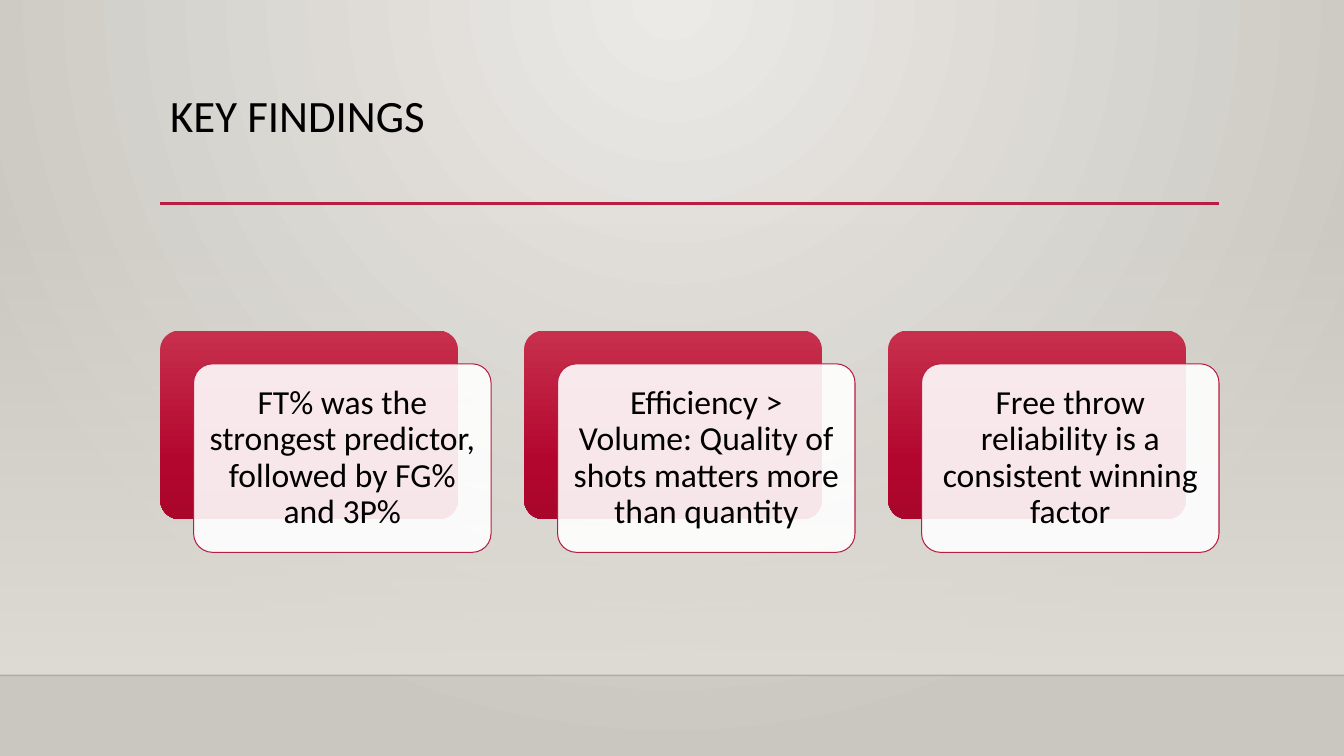
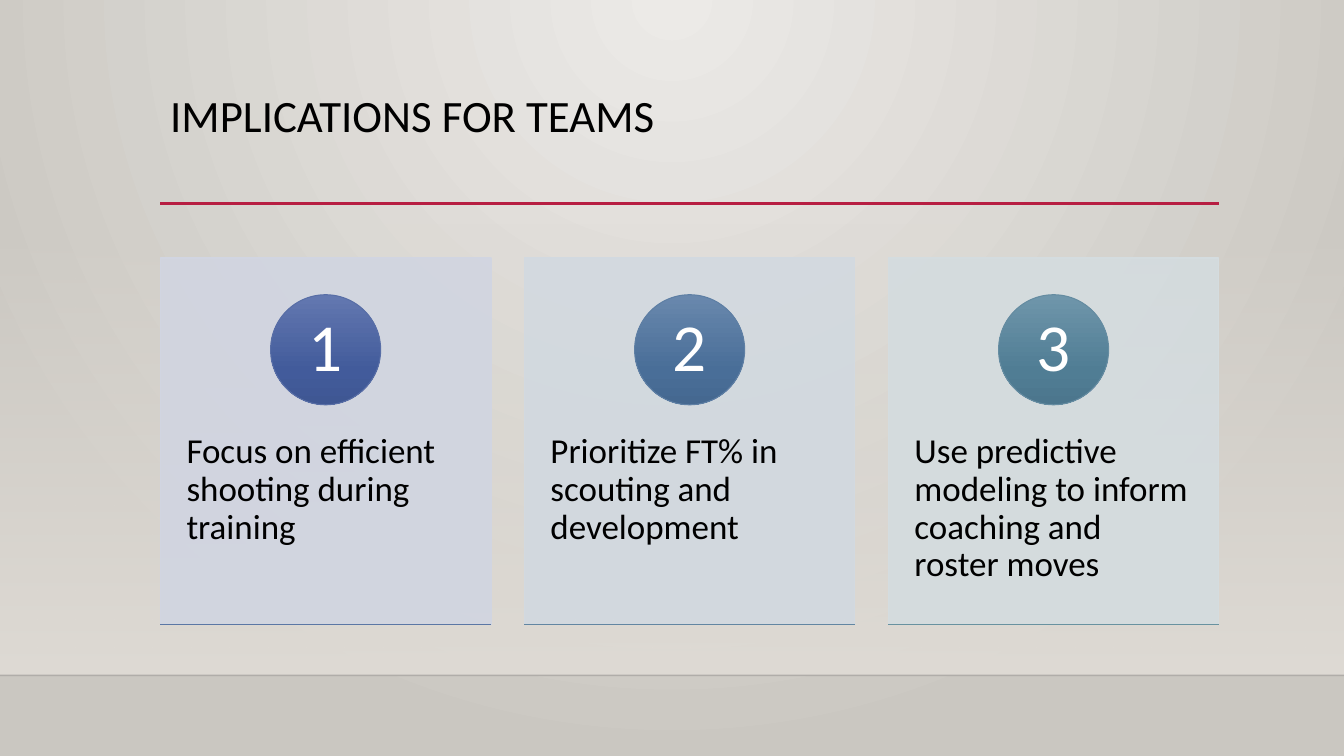
from lxml.etree import SubElement
from pptx import Presentation
from pptx.dml.color import RGBColor
from pptx.enum.shapes import MSO_CONNECTOR, MSO_SHAPE
from pptx.enum.text import MSO_ANCHOR, PP_ALIGN
from pptx.oxml.ns import qn
from pptx.util import Inches, Pt

WIDTH, HEIGHT = 13.33, 7.5
FONT = "Calibri"
COLORS = {
    "text": "000000",
    "white": "FFFFFF",
    "accent": "B71E42",
    "glow": "ECEAE7",
    "edge": "CAC7C1",
    "wall": "DFDBD5",
    "floor_line": "000001",
}
RED_GRADIENT = [(0, "C7304C"), (69, "B3062F"), (100, "AA062C")]

LEFT, CONTENT_WIDTH = 1.59, 10.5
COLUMNS, GAP = 3, 0.33
COLUMN_WIDTH = (CONTENT_WIDTH - (COLUMNS - 1) * GAP) / COLUMNS
FLOOR_TOP = 6.7

FINDINGS = [
    "FT% was the strongest predictor, followed by FG% and 3P%",
    "Efficiency > Volume: Quality of shots matters more than quantity",
    "Free throw reliability is a consistent winning factor",
]
# text, card colour, circle gradient, circle outline, base line
IMPLICATIONS = [
    ("Focus on efficient shooting during training", "D1D5E1",
     [(0, "6378B0"), (69, "425B9B"), (100, "3F5793")], "586EA6", "5B77A5"),
    ("Prioritize FT% in scouting and development", "D2D9E0",
     [(0, "6988AD"), (69, "496E98"), (100, "456890")], "5E7FA4", "6286A2"),
    ("Use predictive modeling to inform coaching and roster moves", "D4DCDF",
     [(0, "6F96AB"), (69, "507D94"), (100, "4C768D")], "658CA1", "6892A0"),
]


def rgb(color):
    return RGBColor.from_string(color)


def set_alpha(parent, percent):
    """Make the first colour found inside parent partly transparent."""
    color = next(parent.iter(qn("a:srgbClr")))
    SubElement(color, qn("a:alpha"), val=str(percent * 1000))


def set_gradient(fill, element, stops, focus=None):
    """Fill with (position, colour[, alpha]) stops: downwards, or round a focus."""
    fill.gradient()
    gradient = next(element.iter(qn("a:gradFill")))
    gradient.clear()
    stop_list = SubElement(gradient, qn("a:gsLst"))
    for position, color, *alpha in stops:
        stop = SubElement(stop_list, qn("a:gs"), pos=str(position * 1000))
        SubElement(stop, qn("a:srgbClr"), val=color)
        if alpha:
            set_alpha(stop, alpha[0])
    if focus:
        circle = SubElement(gradient, qn("a:path"), {"path": "circle"})
        SubElement(circle, qn("a:fillToRect"),
                   {side: str(share * 1000) for side, share in focus.items()})
    else:
        SubElement(gradient, qn("a:lin"), ang="5400000", scaled="0")


def add_box(slide, kind, box, fill, line=None, alpha=None):
    """Add a preset shape whose fill is a colour or a list of gradient stops."""
    shape = slide.shapes.add_shape(kind, *map(Inches, box))
    shape.shadow.inherit = False
    if isinstance(fill, list):
        set_gradient(shape.fill, shape.element.spPr, fill)
    else:
        shape.fill.solid()
        shape.fill.fore_color.rgb = rgb(fill)
    if alpha is not None:
        set_alpha(shape.element.spPr, alpha)
    if line:
        shape.line.color.rgb = rgb(line)
        shape.line.width = Pt(0.75)
    else:
        shape.line.fill.background()
    return shape


def add_rule(slide, left, top, width, color, points, alpha=None):
    rule = slide.shapes.add_connector(
        MSO_CONNECTOR.STRAIGHT,
        *map(Inches, (left, top, left + width, top)))
    rule.line.color.rgb = rgb(color)
    rule.line.width = Pt(points)
    properties = rule.element.spPr
    if alpha is not None:
        set_alpha(properties, alpha)
    SubElement(properties, qn("a:effectLst"))


def write(shape, text, size, color=COLORS["text"], align=PP_ALIGN.LEFT,
          anchor=MSO_ANCHOR.TOP, insets=(0.1, 0.05, 0.1, 0.05)):
    """Put one paragraph in a shape; insets are left, top, right, bottom."""
    frame = shape.text_frame
    frame.word_wrap = True
    frame.vertical_anchor = anchor
    (frame.margin_left, frame.margin_top,
     frame.margin_right, frame.margin_bottom) = map(Inches, insets)
    paragraph = frame.paragraphs[0]
    paragraph.text = text
    paragraph.alignment = align
    paragraph.line_spacing = 0.9
    paragraph.font.name = FONT
    paragraph.font.size = Pt(size)
    paragraph.font.color.rgb = rgb(color)


def set_backdrop(master):
    set_gradient(master.background.fill, master.element,
                 [(0, COLORS["glow"]), (100, COLORS["edge"])],
                 focus={"l": 43, "t": 0, "r": 43, "b": 100})


def add_base_slide(presentation, title):
    """Add a slide with the wall, the floor line, the title and its rule."""
    slide = presentation.slides.add_slide(presentation.slide_layouts[6])
    wall_top = 2.21
    add_box(slide, MSO_SHAPE.RECTANGLE,
            (0, wall_top, WIDTH, FLOOR_TOP - wall_top),
            [(0, COLORS["wall"], 0), (100, COLORS["wall"])])
    add_rule(slide, 0, FLOOR_TOP, WIDTH, COLORS["floor_line"], 1, alpha=20)
    add_rule(slide, LEFT, 2.02, CONTENT_WIDTH, COLORS["accent"], 2.5)
    title_box = slide.shapes.add_textbox(
        *map(Inches, (LEFT, 0.88, CONTENT_WIDTH, 1.15)))
    write(title_box, title, 32)
    return slide


def column_boxes(top, height):
    return [(LEFT + index * (COLUMN_WIDTH + GAP), top, COLUMN_WIDTH, height)
            for index in range(COLUMNS)]


def add_finding(slide, box, text):
    """Add a white card that overlaps a red one, offset down and right."""
    left, top, width, height = box
    offset = 0.33
    card_width, card_height = width - offset, height - offset
    back = add_box(slide, MSO_SHAPE.ROUNDED_RECTANGLE,
                   (left, top, card_width, card_height), RED_GRADIENT)
    front = add_box(slide, MSO_SHAPE.ROUNDED_RECTANGLE,
                    (left + offset, top + offset, card_width, card_height),
                    COLORS["white"], COLORS["accent"], alpha=90)
    for card in (back, front):
        card.adjustments[0] = 0.1
    write(front, text, 24, align=PP_ALIGN.CENTER, anchor=MSO_ANCHOR.MIDDLE,
          insets=(0.1,) * 4)


def add_implication(slide, box, number, implication):
    """Add a tinted card with a numbered circle and a line along its base."""
    text, tint, gradient, outline, base = implication
    left, top, width, height = box
    card = add_box(slide, MSO_SHAPE.RECTANGLE, box, tint, tint, alpha=90)
    write(card, text, 25, insets=(0.26, 1.74, 0.26, 0.36))
    diameter = height * 0.3
    circle = add_box(slide, MSO_SHAPE.OVAL,
                     (left + (width - diameter) / 2, top + height * 0.1,
                      diameter, diameter), gradient, outline)
    write(circle, str(number), 48, COLORS["white"], PP_ALIGN.CENTER,
          MSO_ANCHOR.MIDDLE, (0.09, 0.01, 0.09, 0.01))
    add_rule(slide, left, top + height, width, base, 0.75)


def main():
    presentation = Presentation()
    presentation.slide_width = Inches(WIDTH)
    presentation.slide_height = Inches(HEIGHT)
    set_backdrop(presentation.slide_master)

    findings = add_base_slide(presentation, "KEY FINDINGS")
    for box, text in zip(column_boxes(3.28, 2.2), FINDINGS):
        add_finding(findings, box, text)

    implications = add_base_slide(presentation, "IMPLICATIONS FOR TEAMS")
    cards = zip(column_boxes(2.56, 3.64), IMPLICATIONS)
    for number, (box, implication) in enumerate(cards, start=1):
        add_implication(implications, box, number, implication)

    presentation.save("out.pptx")


if __name__ == "__main__":
    main()
